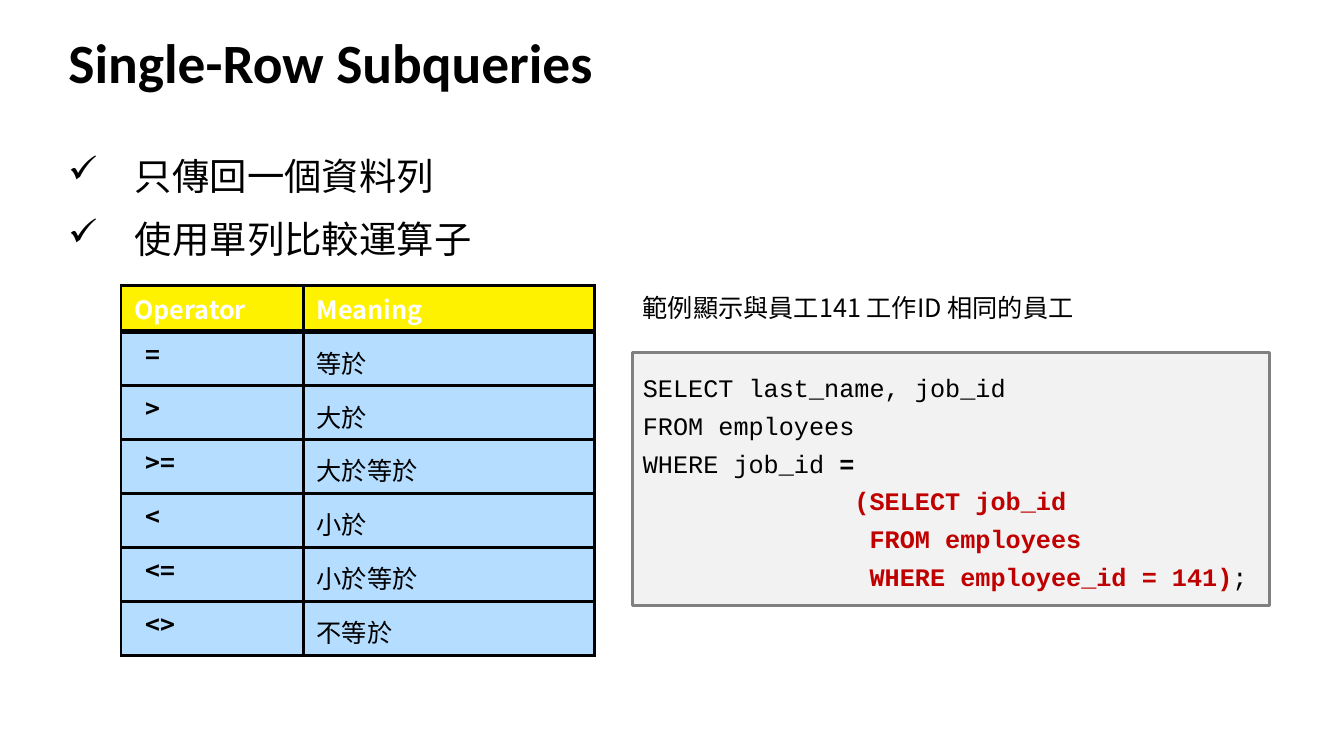
from lxml.etree import SubElement as Sub
from pptx import Presentation
from pptx.dml.color import RGBColor as RGB
from pptx.enum.shapes import MSO_SHAPE as Shape
from pptx.enum.text import MSO_ANCHOR as Anchor, PP_ALIGN as Align
from pptx.oxml.ns import qn
from pptx.util import Cm, Pt

BLACK = RGB(0, 0, 0)
WHITE = RGB(255, 255, 255)
YELLOW = RGB(255, 242, 0)
BLUE = RGB(181, 221, 255)
PALE = RGB(242, 242, 242)
GRAY = RGB(128, 128, 128)
RED = RGB(192, 0, 0)

SANS = "Noto Sans CJK SC"
MONO = "Courier New"

POINTS = ["只傳回一個資料列", "使用單列比較運算子"]
HEAD = ("Operator", "Meaning")
SIGNS = [
    ("=", "等於"),
    (">", "大於"),
    (">=", "大於等於"),
    ("<", "小於"),
    ("<=", "小於等於"),
    ("<>", "不等於"),
]
CODE = [
    [("SELECT last_name, job_id", BLACK, False)],
    [("FROM employees", BLACK, False)],
    [("WHERE job_id ", BLACK, False), ("=", BLACK, True)],
    [("              (SELECT job_id", RED, True)],
    [("               FROM employees", RED, True)],
    [("               WHERE employee_id = 141)", RED, True), (";", BLACK, False)],
]


def add_run(para, text, size, color=BLACK, bold=False, face=SANS):
    run = para.add_run()
    run.text = text
    font = run.font
    font.size = Pt(size)
    font.bold = bold
    font.name = face
    font.color.rgb = color
    Sub(run._r.get_or_add_rPr(), qn("a:ea"), typeface=face)


def next_para(frame, index):
    return frame.add_paragraph() if index else frame.paragraphs[0]


def add_title(slide, text):
    title = slide.shapes.title
    title.left, title.top = Cm(1.47), Cm(0.76)
    title.width, title.height = Cm(30.94), Cm(1.55)
    frame = title.text_frame
    frame.vertical_anchor = Anchor.MIDDLE
    para = frame.paragraphs[0]
    para.alignment = Align.LEFT
    add_run(para, text, 39.6, bold=True, face="Calibri")


def add_box(slide, left, top, width, height):
    frame = slide.shapes.add_textbox(Cm(left), Cm(top), Cm(width), Cm(height)).text_frame
    frame.word_wrap = True
    return frame


def add_points(slide):
    frame = add_box(slide, 1.47, 3.4, 30.94, 13.06)
    for index, text in enumerate(POINTS):
        para = next_para(frame, index)
        para.alignment = Align.JUSTIFY
        para.line_spacing = 1.3
        if index:
            para.space_before = Pt(3)
        props = para._p.get_or_add_pPr()
        props.set("marL", str(Cm(1.68)))
        props.set("indent", str(-Cm(1.68)))
        Sub(props, qn("a:buChar"), char="✓")
        add_run(para, text, 26.7)


def add_edges(cell, top, base):
    props = cell._tc.get_or_add_tcPr()
    edges = [("L", 2.25), ("R", 2.25), ("T", top), ("B", base)]
    for index, (side, width) in enumerate(edges):
        line = Sub(props, qn("a:ln" + side), w=str(Pt(width)))
        fill = Sub(line, qn("a:solidFill"))
        Sub(fill, qn("a:srgbClr"), val=str(BLACK))
        props.insert(index, line)


def fill_cell(cell, text, row, col):
    head = row == 0
    sign = not head and col == 0
    cell.fill.solid()
    cell.fill.fore_color.rgb = YELLOW if head else BLUE
    cell.margin_left = Cm(0.61 if sign else 0.33)
    cell.margin_right = Cm(0.33)
    cell.margin_top = cell.margin_bottom = Cm(0.13)
    para = cell.text_frame.paragraphs[0]
    if not head:
        para.line_spacing = 0.95 if sign else 1.2
    add_run(para, text, 18, WHITE if head else BLACK, head or sign)
    add_edges(cell, 4.5 if row == 1 else 2.25, 4.5 if head else 2.25)


def add_signs(slide):
    rows = [HEAD] + SIGNS
    frame = slide.shapes.add_table(
        len(rows), len(HEAD), Cm(3.05), Cm(7.19), Cm(11.94), Cm(9.32))
    table = frame.table
    for col, width in enumerate((4.6, 7.34)):
        table.columns[col].width = Cm(width)
    for row, texts in enumerate(rows):
        table.rows[row].height = Cm(1.36 if row else 1.16)
        for col, text in enumerate(texts):
            fill_cell(table.cell(row, col), text, row, col)


def add_code(slide):
    box = slide.shapes.add_shape(
        Shape.RECTANGLE, Cm(15.95), Cm(8.89), Cm(16.05), Cm(6.38))
    box.shadow.inherit = False
    box.fill.solid()
    box.fill.fore_color.rgb = PALE
    box.line.color.rgb = GRAY
    box.line.width = Pt(2.25)
    frame = box.text_frame
    frame.word_wrap = True
    frame.vertical_anchor = Anchor.TOP
    frame.margin_left = frame.margin_right = Cm(0.25)
    frame.margin_top = frame.margin_bottom = Cm(0.3)
    for index, parts in enumerate(CODE):
        para = next_para(frame, index)
        para.alignment = Align.LEFT
        para.line_spacing = Pt(27)
        for text, color, bold in parts:
            add_run(para, text, 18, color, bold, MONO)


def add_note(slide):
    para = add_box(slide, 15.95, 7.24, 11.58, 1.02).paragraphs[0]
    para.line_spacing = Pt(21.7)
    add_run(para, "範例顯示與員工141 工作ID 相同的員工", 18)


def main():
    deck = Presentation()
    deck.slide_width, deck.slide_height = Cm(33.87), Cm(19.05)
    slide = deck.slides.add_slide(deck.slide_layouts[5])
    add_title(slide, "Single-Row Subqueries")
    add_points(slide)
    add_signs(slide)
    add_code(slide)
    add_note(slide)
    deck.save("out.pptx")


if __name__ == "__main__":
    main()
